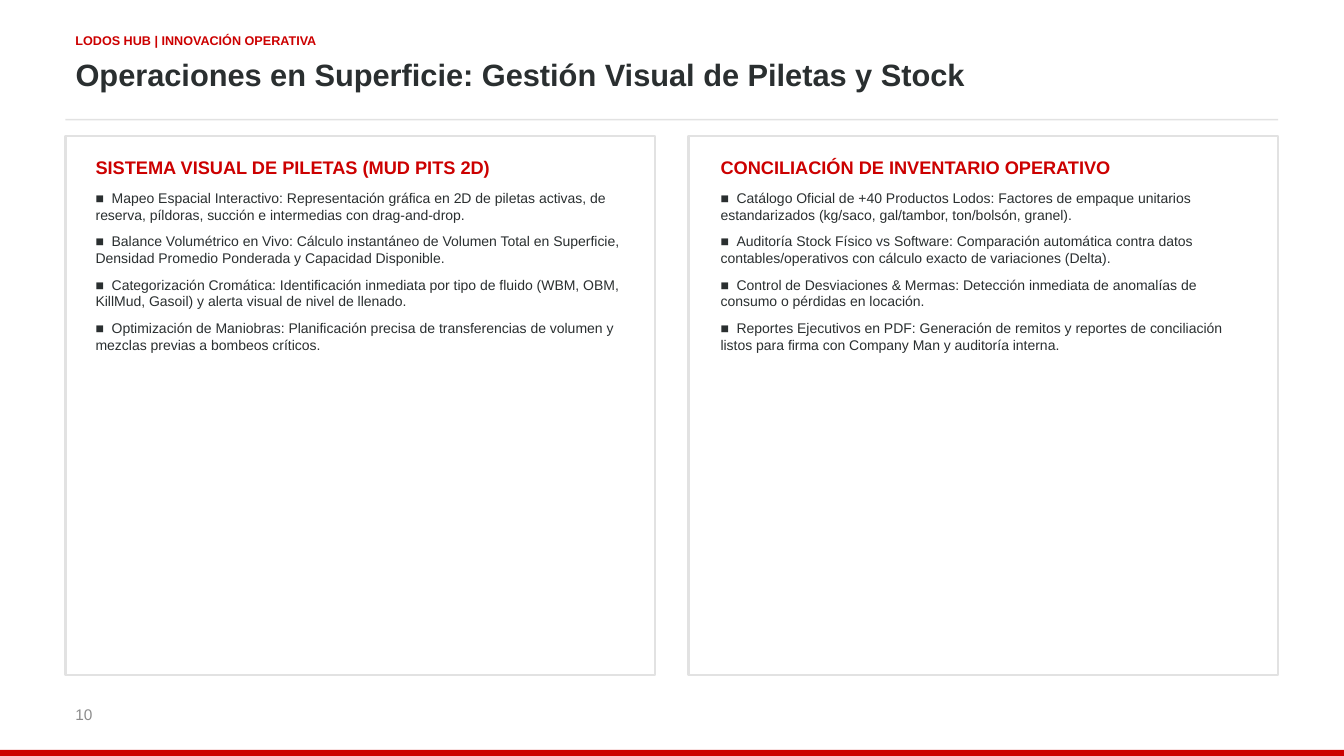
from lxml.etree import SubElement
from pptx import Presentation
from pptx.dml.color import RGBColor
from pptx.enum.shapes import MSO_SHAPE
from pptx.enum.text import MSO_ANCHOR, MSO_AUTO_SIZE, PP_ALIGN
from pptx.oxml.ns import qn
from pptx.util import Pt

COLORS = {"red": "CC0000", "ink": "2A2F30", "rule": "E2E2E2",
          "gray": "8C8C8C", "white": "FFFFFF"}
LEFT = 46.8
PANEL_WIDTH = 421.2
BULLET_TAB = 11.5

panels = [
    (46.8, 61.2, "SISTEMA VISUAL DE PILETAS (MUD PITS 2D)", [
        "Mapeo Espacial Interactivo: Representación gráfica en 2D de piletas activas, de reserva, píldoras, succión e intermedias con drag-and-drop.",
        "Balance Volumétrico en Vivo: Cálculo instantáneo de Volumen Total en Superficie, Densidad Promedio Ponderada y Capacidad Disponible.",
        "Categorización Cromática: Identificación inmediata por tipo de fluido (WBM, OBM, KillMud, Gasoil) y alerta visual de nivel de llenado.",
        "Optimización de Maniobras: Planificación precisa de transferencias de volumen y mezclas previas a bombeos críticos.",
    ]),
    (491.76, 507.6, "CONCILIACIÓN DE INVENTARIO OPERATIVO", [
        "Catálogo Oficial de +40 Productos Lodos: Factores de empaque unitarios estandarizados (kg/saco, gal/tambor, ton/bolsón, granel).",
        "Auditoría Stock Físico vs Software: Comparación automática contra datos contables/operativos con cálculo exacto de variaciones (Delta).",
        "Control de Desviaciones & Mermas: Detección inmediata de anomalías de consumo o pérdidas en locación.",
        "Reportes Ejecutivos en PDF: Generación de remitos y reportes de conciliación listos para firma con Company Man y auditoría interna.",
    ]),
]


def add_box(left, top, width, height, fill, line=None, line_width=0):
    shape = slide.shapes.add_shape(MSO_SHAPE.RECTANGLE, Pt(left), Pt(top), Pt(width), Pt(height))
    shape.shadow.inherit = False
    shape.fill.solid()
    shape.fill.fore_color.rgb = RGBColor.from_string(COLORS[fill])
    if line:
        shape.line.color.rgb = RGBColor.from_string(COLORS[line])
        shape.line.width = Pt(line_width)
    else:
        shape.line.fill.background()


def write(paragraph, text, size, color, bold=False):
    run = paragraph.add_run()
    run.text = text
    run.font.name = "Arial"
    run.font.size = Pt(size)
    run.font.bold = bold
    run.font.color.rgb = RGBColor.from_string(COLORS[color])


presentation = Presentation()
presentation.slide_width = Pt(960)
presentation.slide_height = Pt(540)
slide = presentation.slides.add_slide(presentation.slide_layouts[5])
slide.background.fill.solid()
slide.background.fill.fore_color.rgb = RGBColor.from_string(COLORS["white"])

# Heading
title = slide.shapes.title
title.left, title.top, title.width, title.height = Pt(LEFT), Pt(36), Pt(866.88), Pt(46.8)
title_frame = title.text_frame
title_frame.word_wrap = True
title_frame.auto_size = MSO_AUTO_SIZE.NONE
title_frame.vertical_anchor = MSO_ANCHOR.TOP
title_frame.paragraphs[0].alignment = PP_ALIGN.LEFT
write(title_frame.paragraphs[0], "Operaciones en Superficie: Gestión Visual de Piletas y Stock", 22, "ink", True)
add_box(LEFT, 84.96, 866.16, 1, "rule")

# Section label and page number
for text, top, width, height, size, color, bold in [
    ("LODOS HUB | INNOVACIÓN OPERATIVA", 20.16, 864, 21.6, 9, "red", True),
    ("10", 500.4, 108, 28.8, 11, "gray", False),
]:
    label = slide.shapes.add_textbox(Pt(LEFT), Pt(top), Pt(width), Pt(height))
    label.text_frame.word_wrap = True
    write(label.text_frame.paragraphs[0], text, size, color, bold)

# Footer bar
add_box(0, 535.68, 960, 4.32, "red", "red", 0.5)

# Panels
for panel_left, text_left, heading, points in panels:
    add_box(panel_left, 97.2, PANEL_WIDTH, 385.2, "white", "rule", 1.5)
    body = slide.shapes.add_textbox(Pt(text_left), Pt(108), Pt(392.4), Pt(360))
    frame = body.text_frame
    frame.word_wrap = True
    frame.paragraphs[0].space_after = Pt(8)
    write(frame.paragraphs[0], heading, 13, "red", True)
    for point in points:
        paragraph = frame.add_paragraph()
        paragraph.space_after = Pt(7)
        tabs = SubElement(paragraph._p.get_or_add_pPr(), qn("a:tabLst"))
        SubElement(tabs, qn("a:tab"), pos=str(Pt(BULLET_TAB)), algn="l")
        write(paragraph, "■\t" + point, 10, "ink")

presentation.save("out.pptx")
